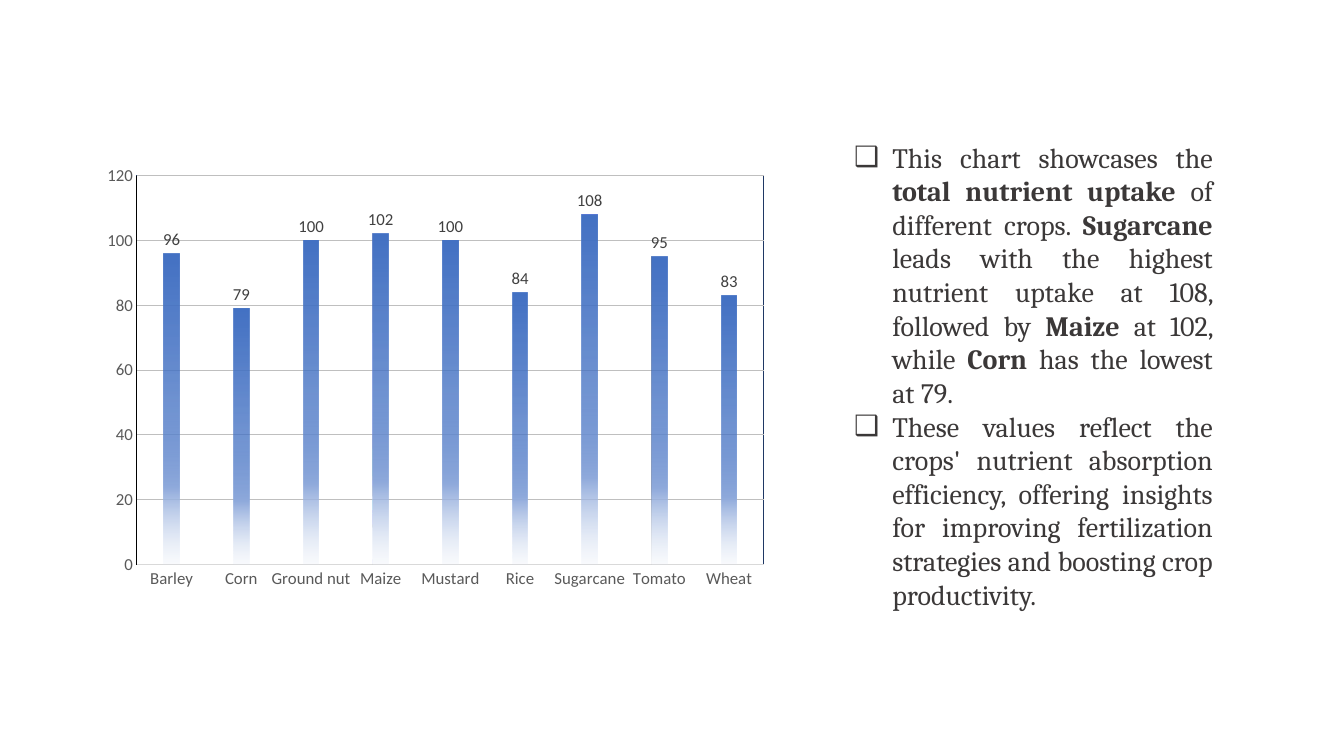
from dataclasses import dataclass

import pptx
import pptx.chart.data
import pptx.dml.color
import pptx.enum.chart
import pptx.enum.text
import pptx.oxml
import pptx.oxml.ns
import pptx.util
from pptx.util import Inches, Pt


@dataclass(frozen=True)
class Theme:
    text: str = "3B3838"
    axis_text: str = "595959"
    label_text: str = "404040"
    axis_line: str = "D9D9D9"
    value_line: str = "000000"
    grid: str = "BFBFBF"
    plot_border: str = "1F3864"
    # Gradient stops: position, colour, opacity (all but colour in percent)
    bar_stops: tuple = (
        (0, "4472C4", 100),
        (51, "4472C4", 75),
        (75, "8FAADC", 100),
        (100, "DAE3F3", 15),
    )
    chart_font: str = "Calibri"
    body_font: str = "Cambria"
    chart_size: int = 12
    body_size: int = 20
    line_width: float = 0.75


THEME = Theme()

UPTAKE = {
    "Barley": 96, "Corn": 79, "Ground nut": 100, "Maize": 102, "Mustard": 100,
    "Rice": 84, "Sugarcane": 108, "Tomato": 95, "Wheat": 83,
}

# Each paragraph alternates plain and bold runs, starting with plain.
FINDINGS = [
    ["This chart showcases the ", "total nutrient uptake", " of different crops. ",
     "Sugarcane", " leads with the highest nutrient uptake at 108, followed by ",
     "Maize", " at 102, while ", "Corn", " has the lowest at 79. "],
    ["These values reflect the crops' nutrient absorption efficiency, offering "
     "insights for improving fertilization strategies and boosting crop productivity."],
]


def rgb(colour):
    return pptx.dml.color.RGBColor.from_string(colour)


def xml(source, prefix="a"):
    """Parse an element whose source has a %s where its namespaces go."""
    return pptx.oxml.parse_xml(source % pptx.oxml.ns.nsdecls(prefix))


def style_font(font, family, size, colour):
    font.name = family
    font.size = Pt(size)
    font.color.rgb = rgb(colour)


def style_line(line, colour):
    line.color.rgb = rgb(colour)
    line.width = Pt(THEME.line_width)


def style_axis(axis, line_colour):
    axis.major_tick_mark = pptx.enum.chart.XL_TICK_MARK.NONE
    axis.minor_tick_mark = pptx.enum.chart.XL_TICK_MARK.NONE
    style_font(axis.tick_labels.font, THEME.chart_font, THEME.chart_size, THEME.axis_text)
    style_line(axis.format.line, line_colour)


def fill_bars(series):
    """Fade the bars downwards; opacity needs XML."""
    stops = "".join(
        f'<a:gs pos="{position * 1000}"><a:srgbClr val="{colour}">'
        f'<a:alpha val="{opacity * 1000}"/></a:srgbClr></a:gs>'
        for position, colour, opacity in THEME.bar_stops
    )
    properties = series.format.fill._xPr
    properties.insert(0, xml(
        f"<a:gradFill %s><a:gsLst>{stops}</a:gsLst>"
        '<a:lin ang="5400000" scaled="0"/></a:gradFill>'))


def frame_plot(chart, left, top, width, height):
    """Fix the inner plot area, as fractions of the chart, and outline it."""
    plot_area = chart._chartSpace.chart.plotArea
    for layout in plot_area.findall(pptx.oxml.ns.qn("c:layout")):
        plot_area.remove(layout)
    places = "".join(
        f'<c:{name} val="{value}"/>'
        for name, value in (("x", left), ("y", top), ("w", width), ("h", height))
    )
    plot_area.insert(0, xml(
        '<c:layout %s><c:manualLayout><c:layoutTarget val="inner"/>'
        f'<c:xMode val="edge"/><c:yMode val="edge"/>{places}'
        "</c:manualLayout></c:layout>", "c"))
    plot_area.append(pptx.oxml.parse_xml(
        f'<c:spPr {pptx.oxml.ns.nsdecls("c", "a")}><a:noFill/>'
        f'<a:ln w="{Pt(THEME.line_width)}"><a:solidFill>'
        f'<a:srgbClr val="{THEME.plot_border}"/></a:solidFill></a:ln></c:spPr>'))


def add_uptake_chart(page):
    data = pptx.chart.data.CategoryChartData()
    data.categories = list(UPTAKE)
    data.add_series("Series 1", list(UPTAKE.values()))
    chart = page.shapes.add_chart(
        pptx.enum.chart.XL_CHART_TYPE.COLUMN_CLUSTERED,
        Inches(0.93), Inches(1.56), Inches(6.79), Inches(4.38), data).chart
    chart.has_title = False
    chart.has_legend = False
    chart.font.name = THEME.chart_font

    style_axis(chart.category_axis, THEME.axis_line)
    style_axis(chart.value_axis, THEME.value_line)
    chart.value_axis.minimum_scale = 0
    chart.value_axis.maximum_scale = 120
    chart.value_axis.major_unit = 20
    style_line(chart.value_axis.major_gridlines.format.line, THEME.grid)

    plot = chart.plots[0]
    plot.gap_width = 355
    plot.overlap = -70
    plot.vary_by_categories = False
    plot.has_data_labels = True
    labels = plot.data_labels
    labels.show_value = True
    labels.position = pptx.enum.chart.XL_LABEL_POSITION.OUTSIDE_END
    style_font(labels.font, THEME.chart_font, THEME.chart_size, THEME.label_text)
    fill_bars(plot.series[0])
    frame_plot(chart, 0.063, 0.042, 0.916, 0.881)


def set_bullet(para, symbol, indent):
    properties = para._p.get_or_add_pPr()
    properties.set("marL", str(indent))
    properties.set("indent", str(-indent))
    properties.append(xml('<a:buFont %s typeface="Arial"/>'))
    properties.append(xml(f'<a:buChar %s char="{symbol}"/>'))


def write_findings(box):
    box.left, box.top = Inches(8.37), Inches(1.34)
    box.width, box.height = Inches(3.76), Inches(4.81)
    frame = box.text_frame
    frame.word_wrap = True
    frame.auto_size = pptx.enum.text.MSO_AUTO_SIZE.SHAPE_TO_FIT_TEXT
    frame.vertical_anchor = pptx.enum.text.MSO_ANCHOR.TOP
    for number, spans in enumerate(FINDINGS):
        para = frame.add_paragraph() if number else frame.paragraphs[0]
        para.alignment = pptx.enum.text.PP_ALIGN.JUSTIFY
        para.space_before = Pt(0)
        set_bullet(para, "❑", Inches(0.38))
        for position, text in enumerate(spans):
            span = para.add_run()
            span.text = text
            span.font.bold = position % 2 == 1
            style_font(span.font, THEME.body_font, THEME.body_size, THEME.text)


def main():
    deck = pptx.Presentation()
    deck.slide_width, deck.slide_height = Inches(13.33), Inches(7.5)
    page = deck.slides.add_slide(deck.slide_layouts.get_by_name("Title and Content"))
    title = page.shapes.title._element
    title.getparent().remove(title)
    add_uptake_chart(page)
    write_findings(page.placeholders[1])
    deck.save("out.pptx")


if __name__ == "__main__":
    main()
